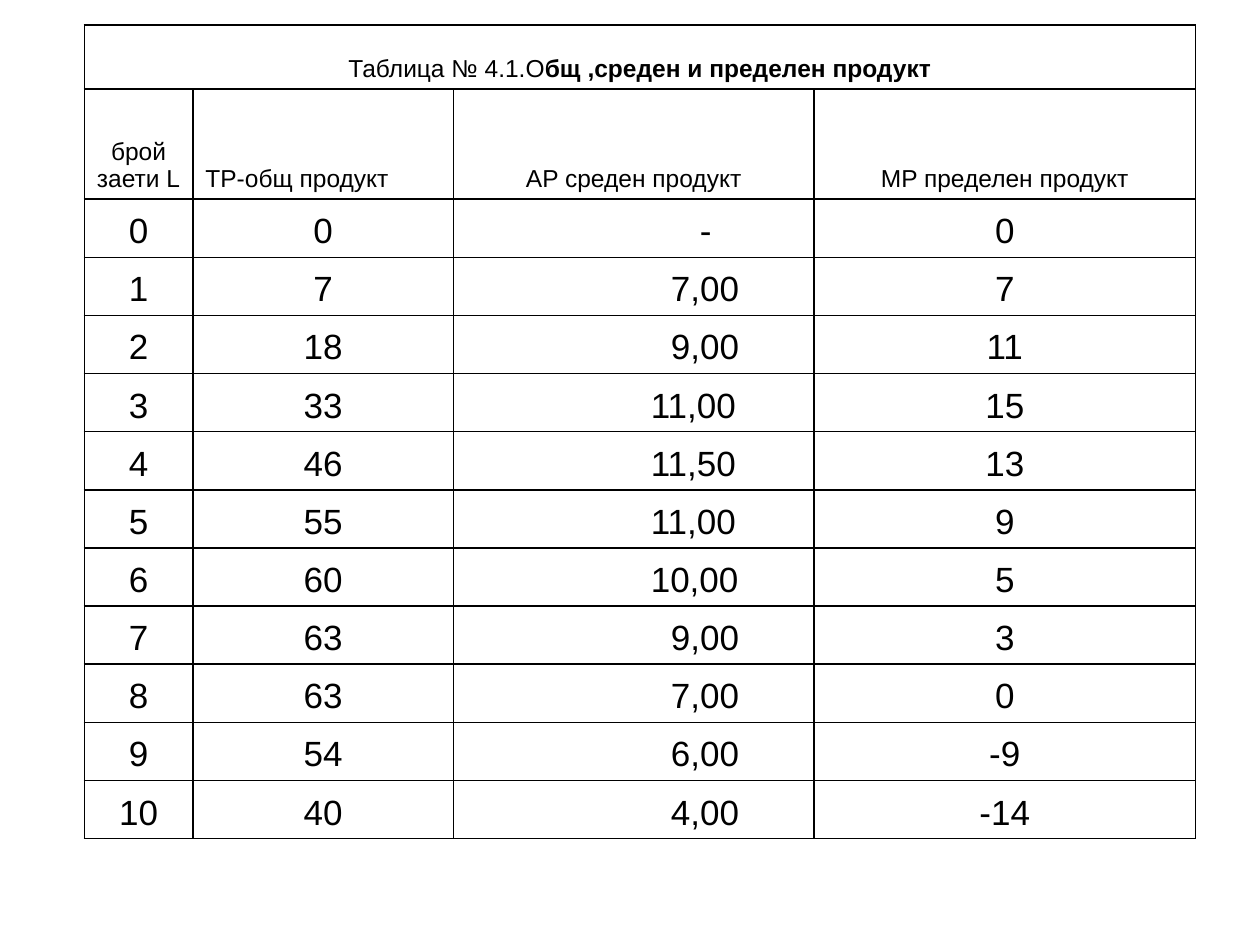
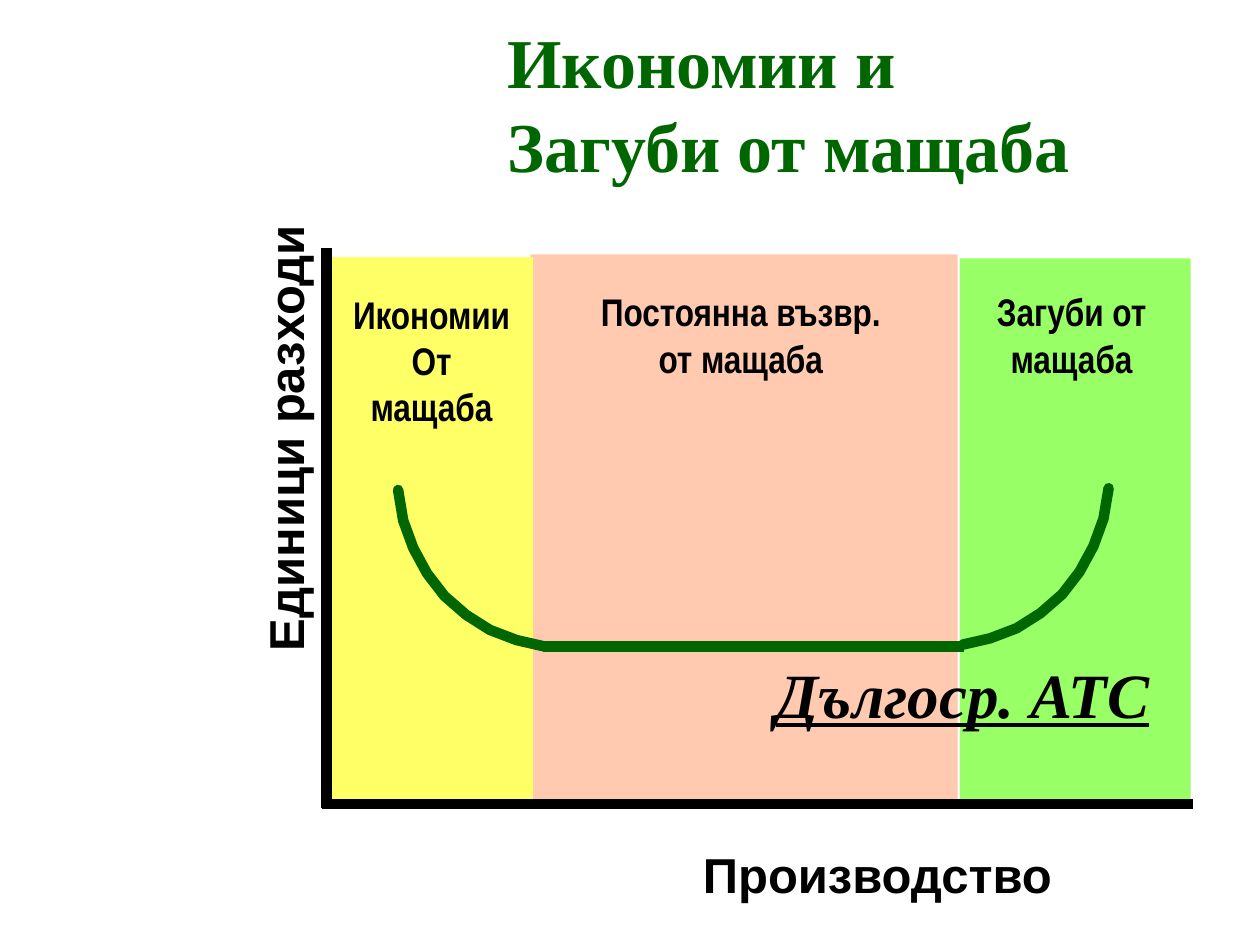
from lxml import etree
from pptx import Presentation
from pptx import util as u
from pptx.dml.color import RGBColor
from pptx.enum import shapes, text
from pptx.oxml import ns

Pt = u.Pt
hue = RGBColor.from_string
INK, GREEN = "000000", "006600"
LEFT, MID = text.PP_ALIGN.LEFT, text.PP_ALIGN.CENTER


def put(frame, words, tail="", size=20, face="Arial", color=INK, bold=False,
        slant=False, under=False, align=LEFT, pad=0, lead=None):
    """Write one paragraph per line; tail is a bold run after the last."""
    for n, line in enumerate(words.split("\n")):
        para = frame.paragraphs[0] if n == 0 else frame.add_paragraph()
        para.alignment = align
        if lead:
            para.line_spacing = Pt(lead)
        if pad:
            para._p.get_or_add_pPr().set("marL", str(Pt(pad)))
        for part, heavy in ((line, bold), (tail, True)):
            if part:
                run = para.add_run()
                run.text = part
                font = run.font
                font.size, font.name, font.bold = Pt(size), face, heavy
                font.italic, font.underline = slant, under
                font.color.rgb = hue(color)


def sub(node, tag, **attrs):
    return etree.SubElement(node, ns.qn(tag), attrs)


deck = Presentation()
deck.slide_width, deck.slide_height = Pt(720), Pt(540)
blank = deck.slide_layouts[6]

# Slide 1: product table
slide = deck.slides.add_slide(blank)
heads = ["брой заети L", "TP-общ продукт", "AP среден продукт", "MP пределен продукт"]
total = [0, 7, 18, 33, 46, 55, 60, 63, 63, 54, 40]
mean = ["-", "7,00", "9,00", "11,00", "11,50", "11,00", "10,00", "9,00",
        "7,00", "6,00", "4,00"]
edge = [0, 7, 11, 15, 13, 9, 5, 3, 0, -9, -14]
rows = [heads] + [list(row) for row in zip(range(11), total, mean, edge)]
wide = [62, 149, 206, 218]
tall = [36.8, 62.8] + [33.25] * 11
pads = {1: 133.5, 4: 117, 5: 105.5}  # indent of the mean by its length

grid = slide.shapes.add_table(len(tall), len(wide), Pt(48.2), Pt(14.2),
                              Pt(sum(wide)), Pt(sum(tall))).table
grid.first_row = grid.horz_banding = False
for col, size in zip(grid.columns, wide):
    col.width = Pt(size)
for row, size in zip(grid.rows, tall):
    row.height = Pt(size)

for cell in grid.iter_cells():
    cell.vertical_anchor = text.MSO_ANCHOR.BOTTOM
    prop = cell._tc.get_or_add_tcPr()
    for side in ("L", "R", "T", "B"):
        rule = sub(prop, "a:ln" + side, w=str(Pt(1)))
        sub(sub(rule, "a:solidFill"), "a:srgbClr", val=INK)
    cell.fill.background()

grid.cell(0, 0).merge(grid.cell(0, 3))
put(grid.cell(0, 0).text_frame, "Таблица № 4.1.О",
    tail="бщ ,среден и пределен продукт", size=14, align=MID)
for r, row in enumerate(rows):
    for c, item in enumerate(row):
        flush = c == 1 if r == 0 else c == 2
        put(grid.cell(r + 1, c).text_frame, str(item), size=20 if r else 14,
            align=LEFT if flush else MID,
            pad=pads[len(item)] if r and flush else 0)

# Slide 2: economies of scale
slide = deck.slides.add_slide(blank)

# Zones
for x, y, w, color in ((548.6, 147.6, 131.8, "99FF66"),
                       (303.1, 145.4, 244.1, "FFCAAF"),
                       (187.2, 146.9, 117.4, "FFFF66")):
    zone = slide.shapes.add_shape(shapes.MSO_SHAPE.RECTANGLE, Pt(x), Pt(y),
                                  Pt(w), Pt(313.2))
    zone.shadow.inherit = False
    zone.fill.solid()
    zone.fill.fore_color.rgb = hue(color)
    zone.line.fill.background()

# Title, axis names and labels
axis = dict(size=28)
label = dict(size=22, face="Arial Narrow", align=MID)
serif = "Times New Roman"
for words, x, y, w, h, turn, look in (
        ("Икономии и\nЗагуби от мащаба", 182.9, 7.2, 563, 103, 0,
         dict(size=40, face=serif, color=GREEN, pad=100)),
        ("Единици разходи", 33.1, 229.7, 258.5, 40.3, 270, axis),
        ("Производство", 394.6, 478.8, 215.3, 40.3, 0, axis),
        ("Дългоср. ATC", 436.3, 370.8, 229.7, 50.4, 0,
         dict(size=36, face=serif, slant=True, under=True)),
        ("Икономии\nОт мащаба", 190.8, 162.7, 111.6, 59.8, 0, label),
        ("Загуби от\nмащаба", 562.3, 161.3, 100.1, 59.8, 0, label),
        ("Постоянна възвр.\nот мащаба", 335.5, 161.3, 175.7, 59.8, 0, label)):
    box = slide.shapes.add_textbox(Pt(x), Pt(y), Pt(w), Pt(h))
    box.rotation = turn
    box.text_frame.word_wrap = "pad" in look
    box.text_frame.auto_size = text.MSO_AUTO_SIZE.SHAPE_TO_FIT_TEXT
    put(box.text_frame, words, bold=True, lead=1.2 * look["size"], **look)

# Axes and the flat part of the cost curve
for x, y, x2, y2, color in ((184.3, 459.4, 681.8, 459.4, INK),
                            (186.5, 141.8, 186.5, 461.5, INK),
                            (310.3, 369.4, 550.8, 369.4, GREEN)):
    line = slide.shapes.add_connector(shapes.MSO_CONNECTOR.STRAIGHT,
                                      Pt(x), Pt(y), Pt(x2), Pt(y2))
    line.line.color.rgb = hue(color)
    line.line.width = Pt(6)
    sub(line._element.spPr, "a:effectLst")

# Falling and rising ends, one the mirror of the other
fall = [(227.5, 280), (230.4, 297.4), (236.2, 313.2), (244, 327.6), (254, 340.6),
        (266.4, 351.4), (280, 360), (295.2, 365.8), (311, 369.4)]
rise = [(861 - x, y - 1) for x, y in fall]
for arc in (fall, rise):
    path = slide.shapes.build_freeform(Pt(arc[0][0]), Pt(arc[0][1]))
    path.add_line_segments([(Pt(x), Pt(y)) for x, y in arc[1:]], close=False)
    curve = path.convert_to_shape()
    curve.shadow.inherit = False
    curve.fill.background()
    curve.line.color.rgb = hue(GREEN)
    curve.line.width = Pt(6)
    pen = curve.line._get_or_add_ln()
    pen.set("cap", "rnd")
    sub(pen, "a:round")

deck.save("out.pptx")
